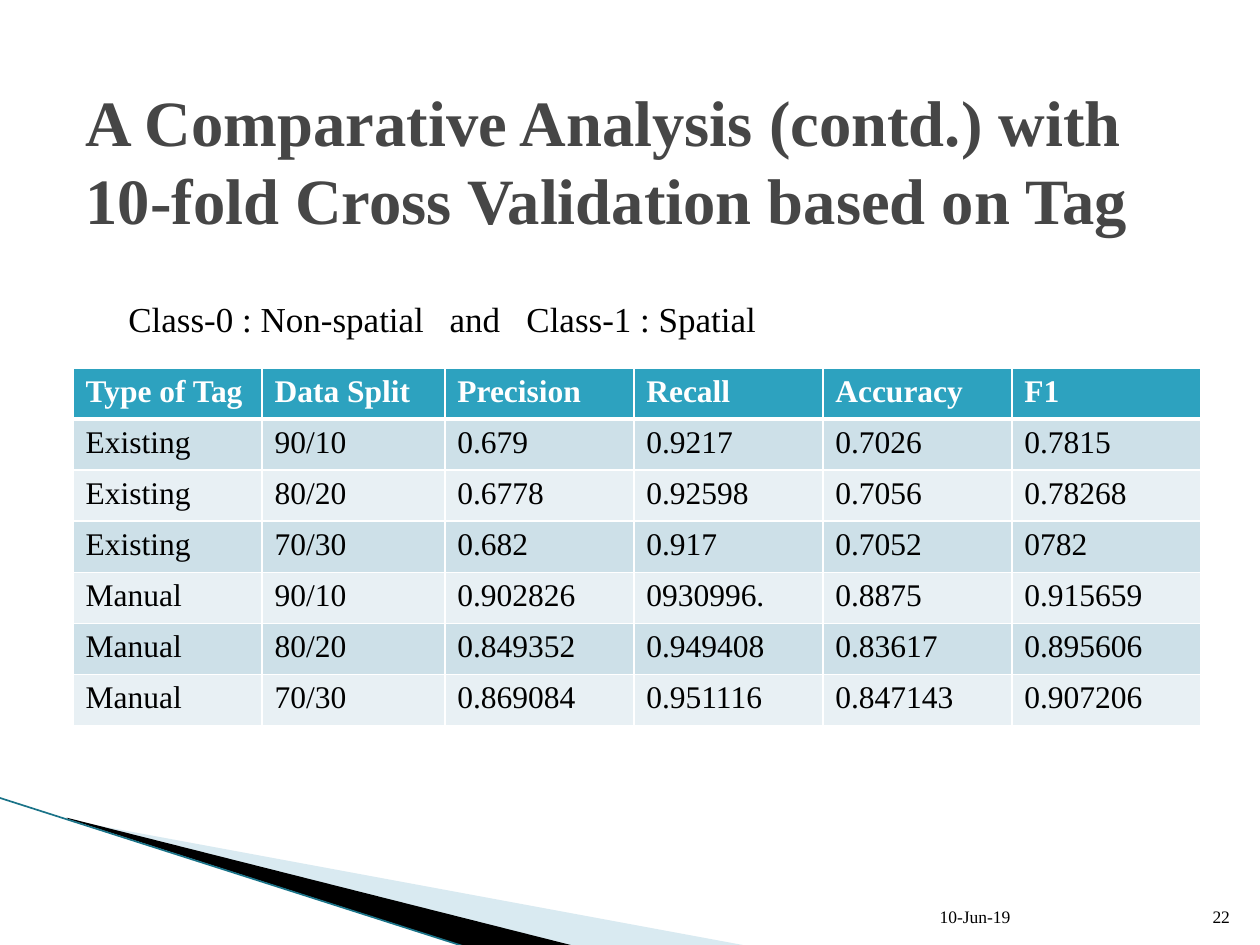
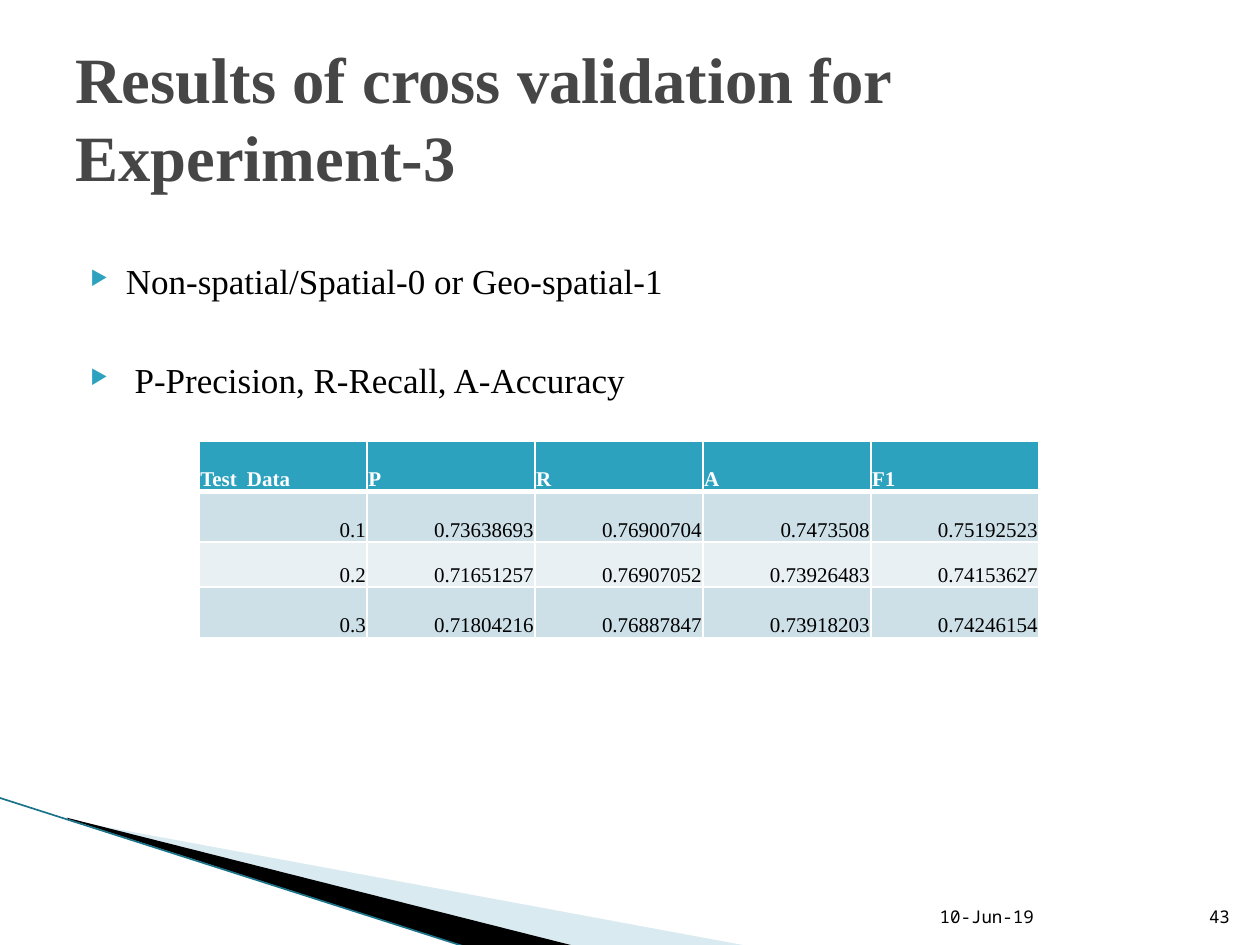
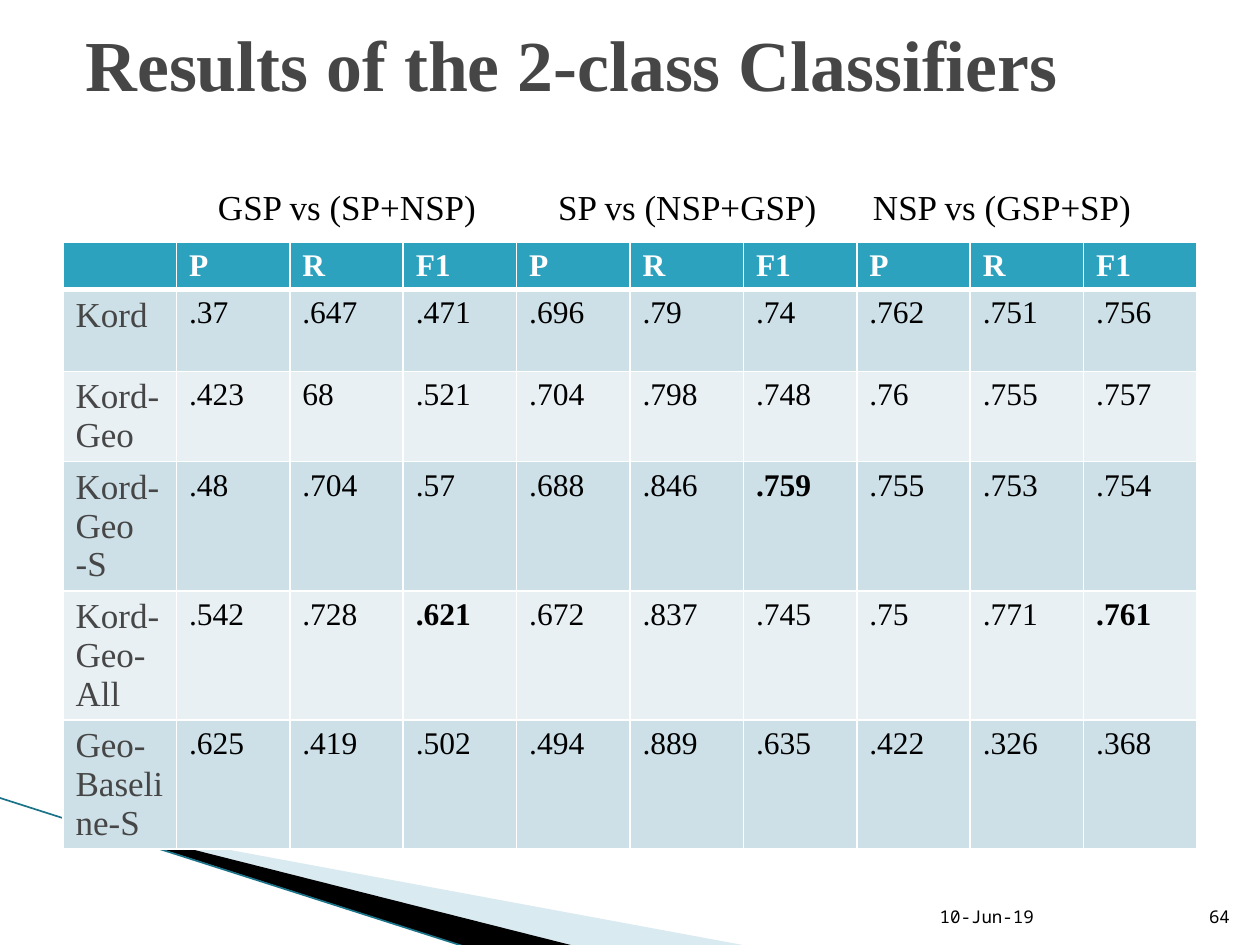
from lxml import etree
from pptx import Presentation
from pptx.dml.color import RGBColor
from pptx.enum.shapes import MSO_CONNECTOR
from pptx.enum.text import MSO_ANCHOR as ANCHOR, PP_ALIGN as ALIGN
from pptx.oxml.ns import qn
from pptx.util import Inches, Pt

WIDTH, HEIGHT = 10, 7.5
SERIF, MONO = "Times New Roman", "Noto Sans Mono"
BLACK, WHITE, GREY, TEAL = "000000", "FFFFFF", "464646", "2DA2BF"
BANDS = ("CDE0E8", "E8F0F4")
PALE_BLUE, DARK_TEAL = "A0CBDC", "1A7388"
DATE = "10-Jun-19"

# frame (left, top, width, height) and corners, which may lie outside the frame
PALE_FRAME = (0.78, 5.47, 4.16, 1.58)
PALE_WEDGE = [(0.55, 6.51), (5.95, 7.51), (4.56, 7.51), (0.55, 6.5)]
BLACK_FRAME = (-0.06, 6.33, 4.16, 0.92)
BLACK_WEDGE = [(0.53, 6.49), (4.57, 7.51), (3.72, 7.52), (0.54, 6.5)]
EDGE_LINE = [(-0.01, 6.33), (3.71, 7.52)]

TAG_ROWS = [
    ("Type of Tag", "Data Split", "Precision", "Recall", "Accuracy", "F1"),
    ("Existing", "90/10", "0.679", "0.9217", "0.7026", "0.7815"),
    ("Existing", "80/20", "0.6778", "0.92598", "0.7056", "0.78268"),
    ("Existing", "70/30", "0.682", "0.917", "0.7052", "0782"),
    ("Manual", "90/10", "0.902826", "0930996.", "0.8875", "0.915659"),
    ("Manual", "80/20", "0.849352", "0.949408", "0.83617", "0.895606"),
    ("Manual", "70/30", "0.869084", "0.951116", "0.847143", "0.907206"),
]
EXPERIMENT_ROWS = [
    ("Test\tData", "P", "R", "A", "F1"),
    ("0.1", "0.73638693", "0.76900704", "0.7473508", "0.75192523"),
    ("0.2", "0.71651257", "0.76907052", "0.73926483", "0.74153627"),
    ("0.3", "0.71804216", "0.76887847", "0.73918203", "0.74246154"),
]
CLASSIFIER_ROWS = [
    ("", *("P", "R", "F1") * 3),
    ("Kord", ".37", ".647", ".471", ".696", ".79", ".74", ".762", ".751", ".756"),
    ("Kord-Geo", ".423", "68", ".521", ".704", ".798", ".748", ".76", ".755", ".757"),
    ("Kord-Geo -S", ".48", ".704", ".57", ".688", ".846", ".759", ".755", ".753", ".754"),
    ("Kord-Geo-All", ".542", ".728", ".621", ".672", ".837", ".745", ".75", ".771", ".761"),
    ("Geo-Baseline-S", ".625", ".419", ".502", ".494", ".889", ".635", ".422", ".326", ".368"),
]
BEST_F1 = {".621", ".759", ".761"}
# text, left, width, alignment
CLASS_PAIRS = [
    ("GSP vs (SP+NSP)", 1.42, 2.67, ALIGN.CENTER),
    ("SP vs (NSP+GSP)", 4.33, 2.25, ALIGN.CENTER),
    ("NSP vs (GSP+SP)", 6.83, 2.58, ALIGN.LEFT),
]
# text, text indent
BULLETS = [("Non-spatial/Spatial-0 or Geo-spatial-1", 0.4),
           ("P-Precision, R-Recall, A-Accuracy", 0.47)]


def rgb(value):
    return RGBColor.from_string(value)


def add_xml(parent, tag, **attributes):
    return etree.SubElement(parent, qn(tag), attributes)


def write(paragraph, text, size=20, font=SERIF, color=BLACK, bold=False,
          align=ALIGN.LEFT):
    run = paragraph.add_run()
    run.text = text
    run.font.size, run.font.name, run.font.bold = Pt(size), font, bold
    run.font.color.rgb = rgb(color)
    paragraph.alignment = align


def add_text(slide, text, left, top, width, height, anchor=ANCHOR.TOP,
             inset_top=0.05, **style):
    """Add a wrapped text box and return its first paragraph."""
    box = slide.shapes.add_textbox(*map(Inches, (left, top, width, height)))
    frame = box.text_frame
    frame.word_wrap = True
    frame.vertical_anchor = anchor
    frame.margin_top = Inches(inset_top)
    write(frame.paragraphs[0], text, **style)
    return frame.paragraphs[0]


def set_frame(freeform, frame):
    """Give a freeform this frame while its corners stay where they are."""
    left, top, width, height = map(Inches, frame)
    shift_x, shift_y = freeform.left - left, freeform.top - top
    outline = next(freeform._element.iter(qn("a:path")))
    for point in outline.iter(qn("a:pt")):
        point.set("x", str(int(point.get("x")) + shift_x))
        point.set("y", str(int(point.get("y")) + shift_y))
    outline.set("w", str(width))
    outline.set("h", str(height))
    freeform.left, freeform.top, freeform.width, freeform.height = left, top, width, height


def add_wedge(slide, frame, points, color, opacity=None):
    start, *rest = [(Inches(x), Inches(y)) for x, y in points]
    builder = slide.shapes.build_freeform(*start)
    builder.add_line_segments(rest)
    wedge = builder.convert_to_shape()
    set_frame(wedge, frame)
    wedge.shadow.inherit = False
    wedge.line.fill.background()
    wedge.fill.solid()
    wedge.fill.fore_color.rgb = rgb(color)
    if opacity:
        fill_color = wedge._element.spPr.find(qn("a:solidFill"))[0]
        add_xml(fill_color, "a:alpha", val=str(opacity * 1000))


def start_slide(presentation):
    """Add a blank slide with the swoosh at the lower left."""
    slide = presentation.slides.add_slide(presentation.slide_layouts[6])
    add_wedge(slide, PALE_FRAME, PALE_WEDGE, PALE_BLUE, opacity=40)
    add_wedge(slide, BLACK_FRAME, BLACK_WEDGE, BLACK)
    ends = [Inches(value) for point in EDGE_LINE for value in point]
    line = slide.shapes.add_connector(MSO_CONNECTOR.STRAIGHT, *ends)
    line.line.color.rgb = rgb(DARK_TEAL)
    line.line.width = Pt(0.95)
    add_xml(line._element.spPr, "a:effectLst")
    return slide


def add_title(slide, text, left, top, height=1.25, size=36.9, **options):
    add_text(slide, text, left, top, 9, height, anchor=ANCHOR.MIDDLE,
             size=size, color=GREY, bold=True, **options)


def add_footer(slide, number, font=MONO):
    number_left = WIDTH - 0.54
    for text, left, width, align in ((DATE, number_left - 2.1, 2.1, ALIGN.LEFT),
                                     (number, number_left, 0.4, ALIGN.RIGHT)):
        add_text(slide, text, left, HEIGHT - 0.49, width, 0.4, anchor=ANCHOR.BOTTOM,
                 size=10, font=font, align=align)


def add_borders(cell, top, bottom):
    properties = cell._tc.get_or_add_tcPr()
    for side, width in (("L", 1), ("R", 1), ("T", top), ("B", bottom)):
        line = add_xml(properties, f"a:ln{side}", w=str(Pt(width)))
        add_xml(add_xml(line, "a:solidFill"), "a:srgbClr", val=WHITE)


def add_table(slide, rows, left, top, widths, heights, body_style, size=18,
              anchor=ANCHOR.TOP, insets=None):
    """Add a banded table; body_style(text, column) gives a body cell's format."""
    frame = slide.shapes.add_table(len(rows), len(widths), Inches(left), Inches(top),
                                   Inches(sum(widths)), Inches(sum(heights)))
    table = frame.table
    for column, width in zip(table.columns, widths):
        column.width = Inches(width)
    for row, height in zip(table.rows, heights):
        row.height = Inches(height)
    for r, row in enumerate(rows):
        for c, text in enumerate(row):
            cell = table.cell(r, c)
            add_borders(cell, top=3 if r == 1 else 1, bottom=3 if r == 0 else 1)
            cell.fill.solid()
            cell.fill.fore_color.rgb = rgb(BANDS[(r - 1) % 2] if r else TEAL)
            cell.vertical_anchor = anchor
            if insets:
                (cell.margin_left, cell.margin_top,
                 cell.margin_right, cell.margin_bottom) = map(Inches, insets)
            style = body_style(text, c) if r else {"color": WHITE, "bold": True}
            paragraph = cell.text_frame.paragraphs[0]
            if text:
                write(paragraph, text, **{"size": size, **style})
            else:
                add_xml(paragraph._p, "a:endParaRPr", sz="1200")
    return table


def add_tab_stops(paragraph, *positions):
    tabs = add_xml(paragraph._p.get_or_add_pPr(), "a:tabLst")
    for position in positions:
        add_xml(tabs, "a:tab", pos=str(Inches(position)), algn="l")


def add_bullet(paragraph, indent, hanging):
    properties = paragraph._p.get_or_add_pPr()
    properties.set("marL", str(Inches(indent)))
    properties.set("indent", str(-Inches(hanging)))
    add_xml(add_xml(properties, "a:buClr"), "a:srgbClr", val=TEAL)
    add_xml(properties, "a:buSzPct", val="57000")
    add_xml(properties, "a:buChar", char="▶")


def build_tag_slide(presentation):
    slide = start_slide(presentation)
    add_footer(slide, "22", font=SERIF)
    add_title(slide, "A Comparative Analysis (contd.) with 10-fold Cross Validation "
              "based on Tag", 0.58, 0.33, inset_top=0.67)
    add_table(slide, TAG_ROWS, 0.58, 2.92, [1.5, 1.45] + [1.5] * 4,
              [2.84 / len(TAG_ROWS)] * len(TAG_ROWS), lambda text, column: {})
    legend = add_text(slide, "Class-0 : Non-spatial\tand\tClass-1 : Spatial",
                      0.92, 2.31, 8.17, 0.44)
    add_tab_stops(legend, 2.55, 3.16)


def build_experiment_slide(presentation):
    slide = start_slide(presentation)
    (first, first_indent), (second, second_indent) = BULLETS
    paragraph = add_text(slide, first, 0.5, 1.62, 9, 4.95, inset_top=0.44)
    add_bullet(paragraph, first_indent, 0.28)
    paragraph = slide.shapes[-1].text_frame.add_paragraph()
    write(paragraph, second)
    paragraph.space_before = Pt(32.5)
    add_bullet(paragraph, second_indent, second_indent - first_indent + 0.28)
    add_footer(slide, "43")
    add_title(slide, "Results of cross validation for Experiment-3", 0.5, 0.3)
    table = add_table(slide, EXPERIMENT_ROWS, 1.58, 3.5, [WIDTH / 7.5] * 5,
                      [0.4, 0.4, 0.36, 0.4], lambda text, column: {"align": ALIGN.RIGHT},
                      size=12, anchor=ANCHOR.BOTTOM, insets=(0.01, 0.01, 0.01, 0))
    add_tab_stops(table.cell(0, 0).text_frame.paragraphs[0], 0.37)


def classifier_style(text, column):
    if column == 0:
        return {"size": 20, "color": GREY}
    return {"bold": text in BEST_F1}


def build_classifier_slide(presentation):
    slide = start_slide(presentation)
    add_table(slide, CLASSIFIER_ROWS, 0.5, 1.92, [0.9] * 10,
              [0.37, 0.65, 0.71] + [1.02] * 3, classifier_style)
    add_footer(slide, "64")
    add_title(slide, "Results of the 2-class Classifiers", 0.58, 0, height=1, size=41)
    for text, left, width, align in CLASS_PAIRS:
        add_text(slide, text, left, 1.42, width, 0.44, align=align)


def main():
    presentation = Presentation()
    presentation.slide_width = Inches(WIDTH)
    presentation.slide_height = Inches(HEIGHT)
    build_tag_slide(presentation)
    build_experiment_slide(presentation)
    build_classifier_slide(presentation)
    presentation.save("out.pptx")


if __name__ == "__main__":
    main()
